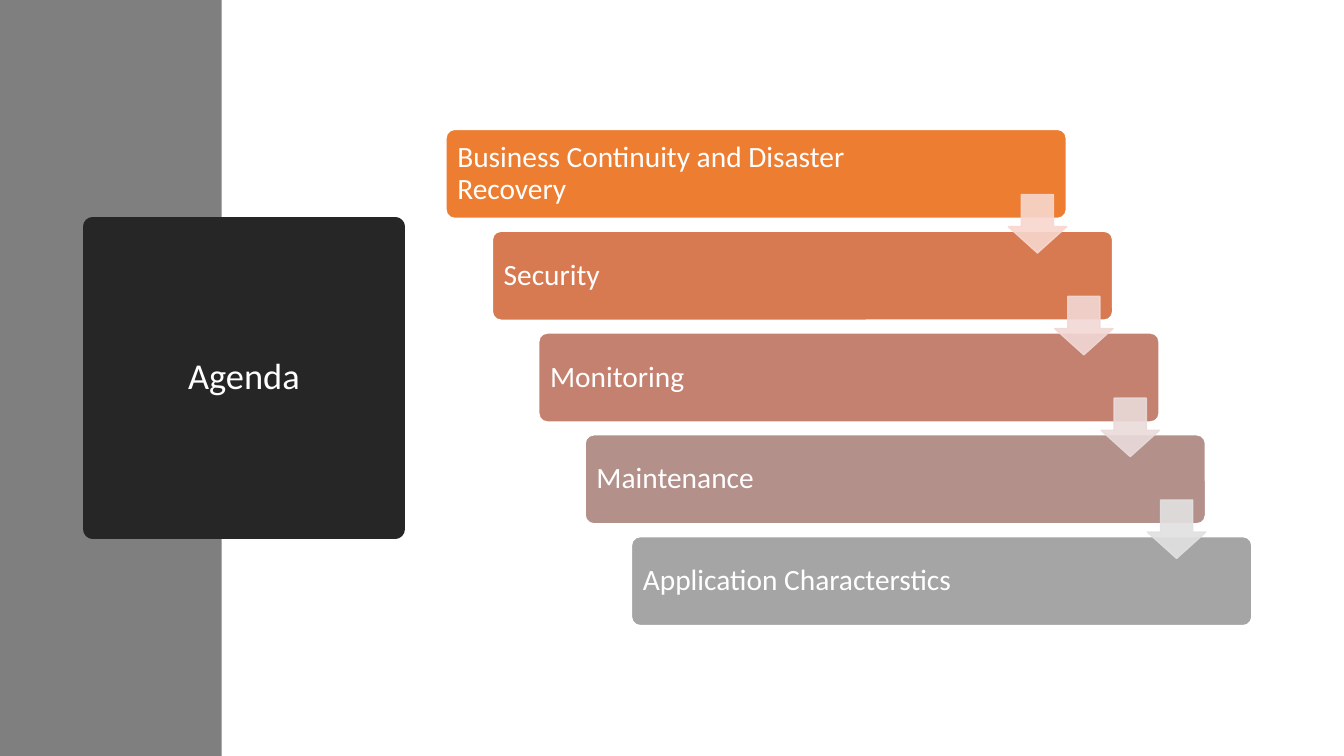
from lxml import etree
from pptx import Presentation
from pptx.dml.color import RGBColor
from pptx.enum.shapes import MSO_SHAPE
from pptx.enum.text import MSO_ANCHOR, PP_ALIGN
from pptx.oxml.ns import qn
from pptx.util import Inches, Pt

RECTANGLE = MSO_SHAPE.RECTANGLE
ROUNDED = MSO_SHAPE.ROUNDED_RECTANGLE
DOWN_ARROW = MSO_SHAPE.DOWN_ARROW
MIDDLE = MSO_ANCHOR.MIDDLE
LEFT, CENTER = PP_ALIGN.LEFT, PP_ALIGN.CENTER

WHITE = RGBColor(0xFF, 0xFF, 0xFF)
GRAY = RGBColor(0x7F, 0x7F, 0x7F)
CHARCOAL = RGBColor(0x26, 0x26, 0x26)
TOPICS = [
    ("Business Continuity and Disaster Recovery", RGBColor(0xED, 0x7D, 0x31)),
    ("Security", RGBColor(0xD8, 0x7A, 0x51)),
    ("Monitoring", RGBColor(0xC4, 0x81, 0x70)),
    ("Maintenance", RGBColor(0xB4, 0x90, 0x8B)),
    ("Application Characterstics", RGBColor(0xA5, 0xA5, 0xA5)),
]
ARROW_COLORS = [
    RGBColor(0xF8, 0xD7, 0xCE),
    RGBColor(0xF1, 0xD8, 0xD4),
    RGBColor(0xE9, 0xDB, 0xDA),
    RGBColor(0xE1, 0xE1, 0xE1),
]
STEP_X, STEP_Y = 0.46, 1.01

prs = Presentation()
prs.slide_width, prs.slide_height = Inches(13.33), Inches(7.5)
slide = prs.slides.add_slide(prs.slide_layouts[6])


def add_block(kind, left, top, width, height, fill, line=None, line_width=1):
    """Add a flat preset shape, measured in inches, with an optional outline."""
    block = slide.shapes.add_shape(
        kind, Inches(left), Inches(top), Inches(width), Inches(height))
    block.shadow.inherit = False
    block.fill.solid()
    block.fill.fore_color.rgb = fill
    if line is None:
        block.line.fill.background()
    else:
        block.line.color.rgb = line
        block.line.width = Pt(line_width)
    return block


def write(block, text, size, align):
    """Put one white, vertically centred paragraph into a shape."""
    frame = block.text_frame
    frame.word_wrap = True
    frame.vertical_anchor = MIDDLE
    paragraph = frame.paragraphs[0]
    paragraph.text = text
    paragraph.alignment = align
    paragraph.line_spacing = 0.9
    paragraph.font.name = "Calibri"
    paragraph.font.size = Pt(size)
    paragraph.font.color.rgb = WHITE
    return frame


add_block(RECTANGLE, 0, 0, 2.2, 7.5, GRAY)

# The thick outline with round joins softens the corners of the title square
agenda = add_block(RECTANGLE, 0.92, 2.25, 3, 3, CHARCOAL, CHARCOAL, 13.75)
etree.SubElement(agenda.line._get_or_add_ln(), qn("a:round"))
write(agenda, "Agenda", 26, CENTER)

# Staircase of topics; the wide right inset keeps text clear of the arrows
for i, (topic, color) in enumerate(TOPICS):
    bar = add_block(ROUNDED, 4.42 + i * STEP_X, 1.28 + i * STEP_Y,
                    6.16, 0.89, color, WHITE, 1.5)
    bar.adjustments[0] = 0.1
    frame = write(bar, topic, 21, LEFT)
    frame.margin_left = frame.margin_top = frame.margin_bottom = Inches(0.09)
    frame.margin_right = Inches(1.12)

# Slightly transparent arrows from each topic to the next
for i, color in enumerate(ARROW_COLORS):
    arrow = add_block(DOWN_ARROW, 10 + i * STEP_X, 1.93 + i * STEP_Y,
                      0.58, 0.58, color, color)
    arrow.adjustments[0] = 0.55
    arrow.adjustments[1] = 0.45
    for paint in arrow._element.spPr.iter(qn("a:srgbClr")):
        etree.SubElement(paint, qn("a:alpha"), val="90000")

prs.save("out.pptx")
